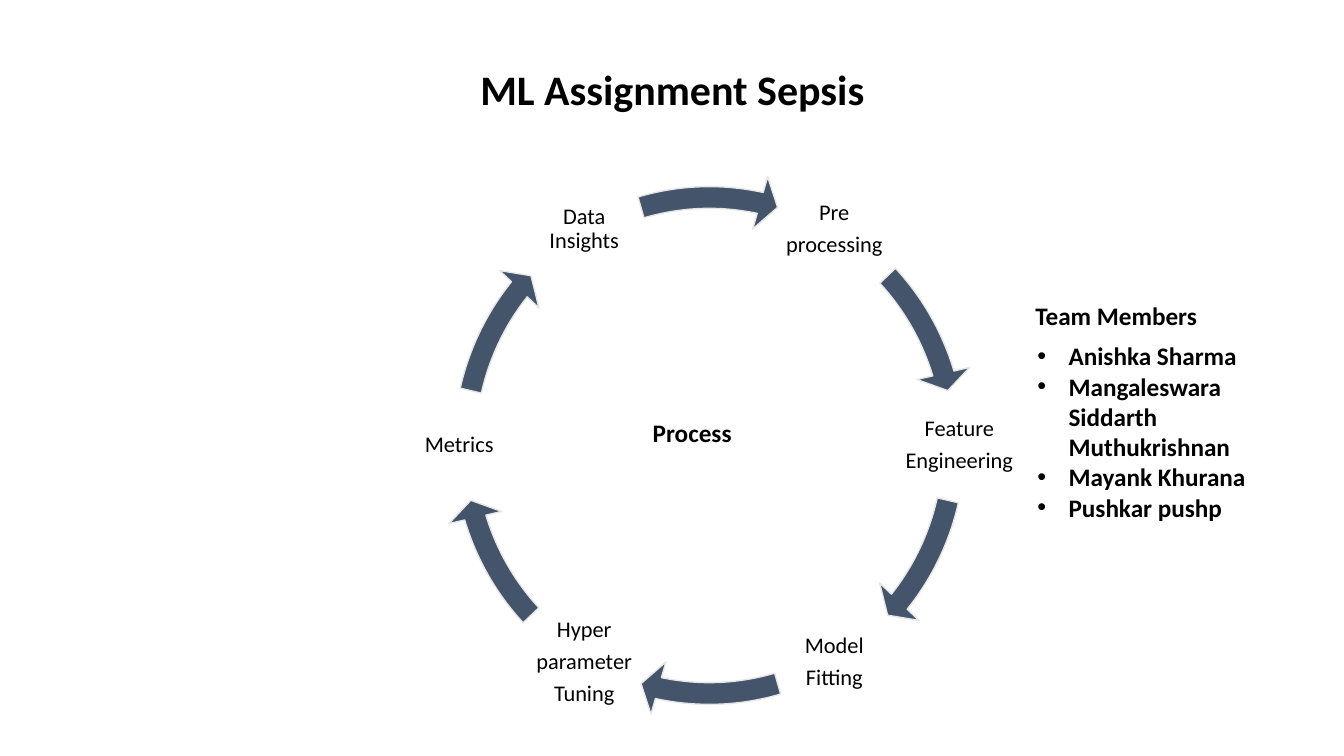
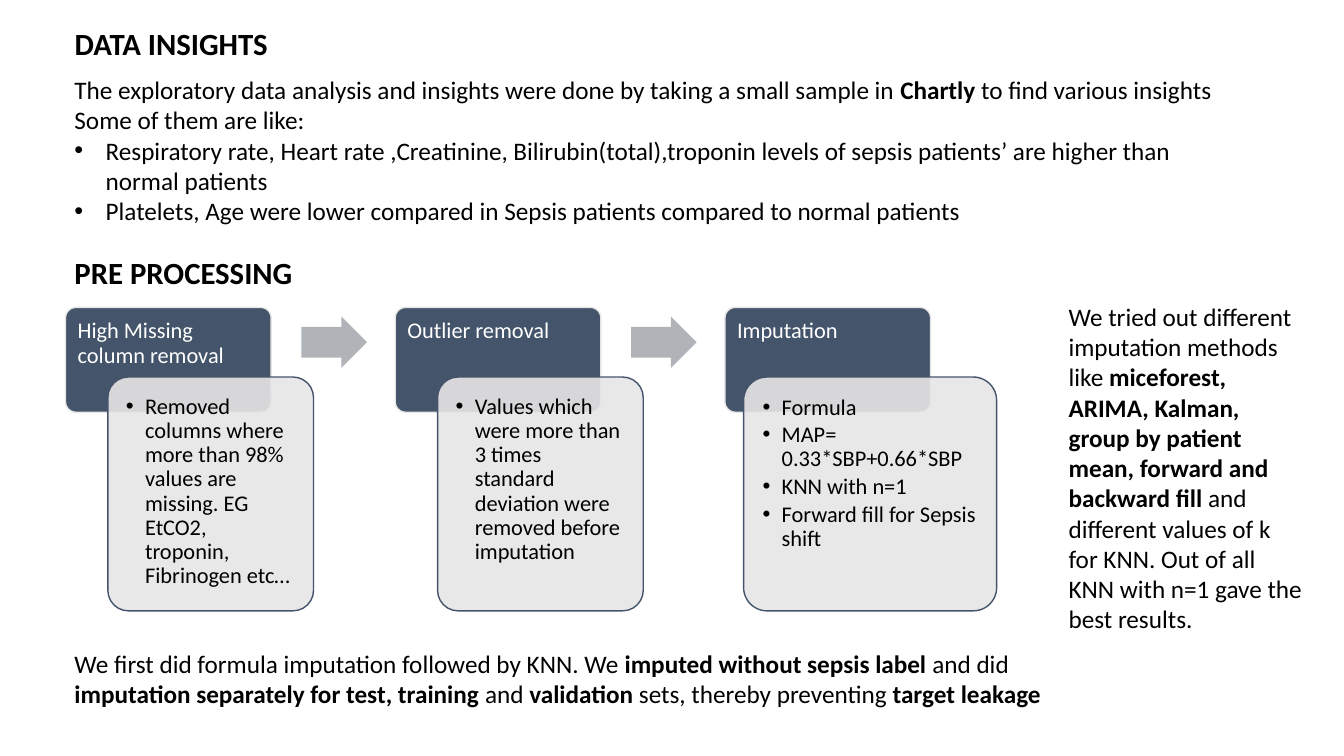
from math import cos, radians, sin

from lxml.etree import SubElement
from pptx import Presentation
from pptx.dml.color import RGBColor
from pptx.enum.shapes import MSO_SHAPE as Shape
from pptx.enum.text import MSO_ANCHOR as Anchor, MSO_AUTO_SIZE as AutoSize, PP_ALIGN as Align
from pptx.oxml.ns import qn
from pptx.util import Inches, Pt

COLORS = {"text": "000000", "white": "FFFFFF", "navy": "44546A", "pale": "E7E6E6", "arrow": "B0B4B9"}
FONT = "Calibri"
BODY, DIAGRAM, HEADING = 18, 16, 22
BULLET_INDENT = 0.31
MARGIN = 0.64


def color(name):
    return RGBColor.from_string(COLORS[name])


def set_bullet(paragraph, indent):
    properties = paragraph._p.get_or_add_pPr()
    properties.set("marL", str(Inches(indent)))
    properties.set("indent", str(-Inches(indent)))
    SubElement(properties, qn("a:buFont")).set("typeface", "Arial")
    SubElement(properties, qn("a:buChar")).set("char", "•")


def write(shape, lines, size=BODY, bold=False, ink="text", align=Align.LEFT, anchor=Anchor.TOP,
          insets=(0.1, 0.05), bullet=0, first_bullet=0, spacing=1.0, after=0):
    """Fill a shape with paragraphs; text between | marks is bold."""
    frame = shape.text_frame
    frame.word_wrap = True
    frame.auto_size = AutoSize.NONE
    frame.vertical_anchor = anchor
    frame.margin_left = frame.margin_right = Inches(insets[0])
    frame.margin_top = frame.margin_bottom = Inches(insets[1])
    for index, line in enumerate(lines):
        paragraph = frame.add_paragraph() if index else frame.paragraphs[0]
        paragraph.alignment = align
        paragraph.line_spacing = spacing
        paragraph.space_before = Pt(0)
        paragraph.space_after = Pt(after)
        if bullet and index >= first_bullet:
            set_bullet(paragraph, bullet)
        for position, piece in enumerate(line.split("|")):
            if not piece:
                continue
            run = paragraph.add_run()
            run.text = piece
            run.font.name = FONT
            run.font.size = Pt(size)
            run.font.bold = bold or position % 2 == 1
            run.font.color.rgb = color(ink)


def add_text(slide, box, lines, **style):
    write(slide.shapes.add_textbox(*map(Inches, box)), lines, **style)


def add_title(slide, box, text, size, align=Align.LEFT):
    title = slide.shapes.title
    title.left, title.top, title.width, title.height = map(Inches, box)
    write(title, [text], size=size, bold=True, align=align)


def add_block(slide, kind, box, adjustments, fill, line=None, opacity=None):
    shape = slide.shapes.add_shape(kind, *map(Inches, box))
    shape.shadow.inherit = False
    for index, value in enumerate(adjustments):
        shape.adjustments[index] = value
    shape.fill.solid()
    shape.fill.fore_color.rgb = color(fill)
    if opacity:
        fill_color = shape.fill._xPr.find(qn("a:solidFill"))[0]
        SubElement(fill_color, qn("a:alpha")).set("val", str(opacity * 1000))
    if line:
        shape.line.color.rgb = color(line)
        shape.line.width = Pt(1)
    else:
        shape.line.fill.background()
    return shape


def add_process_ring(slide, left, top, width, height):
    """Draw six stages clockwise from the upper right, with an arrow between each pair."""
    stages = [["Pre", "processing"], ["Feature", "Engineering"], ["Model", "Fitting"],
              ["Hyper", "parameter", "Tuning"], ["Metrics"], ["Data Insights"]]
    arcs = [(316.4, 342.88), (12.95, 39.43), (73.99, 101.84)]
    arcs += [((start + 180) % 360, (end + 180) % 360) for start, end in arcs]
    center_x, center_y, radius = left + width / 2, top + height / 2, 2.48
    label_height = 1.12
    # Angle adjustments count units of 100000, while a degree is 60000.
    per_degree = 0.6
    for index, (lines, (start, end)) in enumerate(zip(stages, arcs)):
        angle = radians(60 * index - 60)
        label_width = 1.26 if "Engineering" in lines else 1.1
        add_text(slide, (center_x + radius * cos(angle) - label_width / 2,
                         center_y + radius * sin(angle) - label_height / 2, label_width, label_height),
                 lines, size=DIAGRAM, align=Align.CENTER, anchor=Anchor.MIDDLE,
                 insets=(0.02, 0.02), spacing=0.9, after=5.6)
        add_block(slide, Shape.CIRCULAR_ARROW, (left, top, width, height),
                  (0.04, 2.5, end * per_degree, start * per_degree, 0.05), "navy", "pale")
    add_text(slide, (center_x - 0.66, center_y - 0.33, 2.3, 0.42), ["Process"], bold=True)


def add_team(slide, left, top):
    add_text(slide, (left, top, 2.57, 0.4), ["Team Members"], bold=True)
    add_text(slide, (left + 0.02, top + 0.4, 2.94, 1.92),
             ["Anishka Sharma", "Mangaleswara Siddarth Muthukrishnan", "Mayank Khurana", "Pushkar pushp"],
             bold=True, bullet=BULLET_INDENT)


def add_step(slide, left, top, heading, details, detail_width):
    """Draw a heading card with a translucent detail card overlapping it."""
    card_width = 2.04
    header = add_block(slide, Shape.ROUNDED_RECTANGLE, (left, top, card_width, 1.04), [0.1], "navy", "pale")
    write(header, [heading], size=DIAGRAM, ink="white", insets=(0.09, 0.09), spacing=0.9)
    detail_left = left + 0.42 + (card_width - detail_width) / 2
    detail = add_block(slide, Shape.ROUNDED_RECTANGLE, (detail_left, top + 0.69, detail_width, 2.32),
                       [0.1], "pale", "navy", opacity=90)
    write(detail, details, size=DIAGRAM, insets=(0.12, 0.12), bullet=0.19, spacing=0.9, after=2.4)


def add_steps(slide, left, top):
    steps = [
        ("High Missing column removal",
         ["Removed columns where more than 98% values are missing. EG EtCO2, troponin, Fibrinogen etc…"], 2.04),
        ("Outlier removal",
         ["Values which were more than 3 times standard deviation were removed before imputation"], 2.04),
        ("Imputation",
         ["Formula", "MAP= 0.33*SBP+0.66*SBP", "KNN with n=1", "Forward fill for Sepsis shift"], 2.51),
    ]
    pitch = 3.27
    for index, step in enumerate(steps):
        step_left = left + index * pitch
        add_step(slide, step_left, top, *step)
        if index < len(steps) - 1:
            add_block(slide, Shape.RIGHT_ARROW, (step_left + 2.34, top + 0.09, 0.65, 0.51), (0.6, 0.5), "arrow")


def build_overview(slide):
    add_title(slide, (2.17, 0.58, 9, 0.61), "ML Assignment Sepsis", 30, Align.CENTER)
    add_process_ring(slide, 4.34, 1.69, 5.39, 5.46)
    add_team(slide, 10.17, 2.93)


def build_insights(slide):
    add_title(slide, (MARGIN, 0.2, 6.55, 0.47), "DATA INSIGHTS", HEADING)
    add_text(slide, (MARGIN, 0.69, 11.67, 1.62), [
        "The exploratory data analysis and insights were done by taking a small sample in "
        "|Chartly| to find various insights",
        "Some of them are like:",
        "Respiratory rate, Heart rate ,Creatinine, Bilirubin(total),troponin levels of sepsis patients’ "
        "are higher than normal patients",
        "Platelets, Age were lower compared in Sepsis patients compared to normal patients",
    ], bullet=BULLET_INDENT, first_bullet=2)
    add_text(slide, (MARGIN, 2.47, 6.55, 0.47), ["PRE PROCESSING"], size=HEADING, bold=True)
    add_steps(slide, 0.65, 3.05)
    add_text(slide, (10.5, 2.94, 2.52, 3.43), [
        "We tried out different imputation methods like |miceforest, ARIMA, Kalman, group by patient mean, "
        "forward and backward fill |and different values of k for KNN. Out of all KNN with n=1 gave the "
        "best results."])
    add_text(slide, (MARGIN, 6.38, 9.89, 0.71), [
        "We first did formula imputation followed by KNN. We |imputed without sepsis label |and did "
        "|imputation separately for test, training |and |validation| sets, thereby preventing |target leakage|"])


def main():
    presentation = Presentation()
    presentation.slide_width, presentation.slide_height = Inches(13.33), Inches(7.5)
    title_only = presentation.slide_layouts[5]
    for build in (build_overview, build_insights):
        build(presentation.slides.add_slide(title_only))
    presentation.save("out.pptx")


if __name__ == "__main__":
    main()
